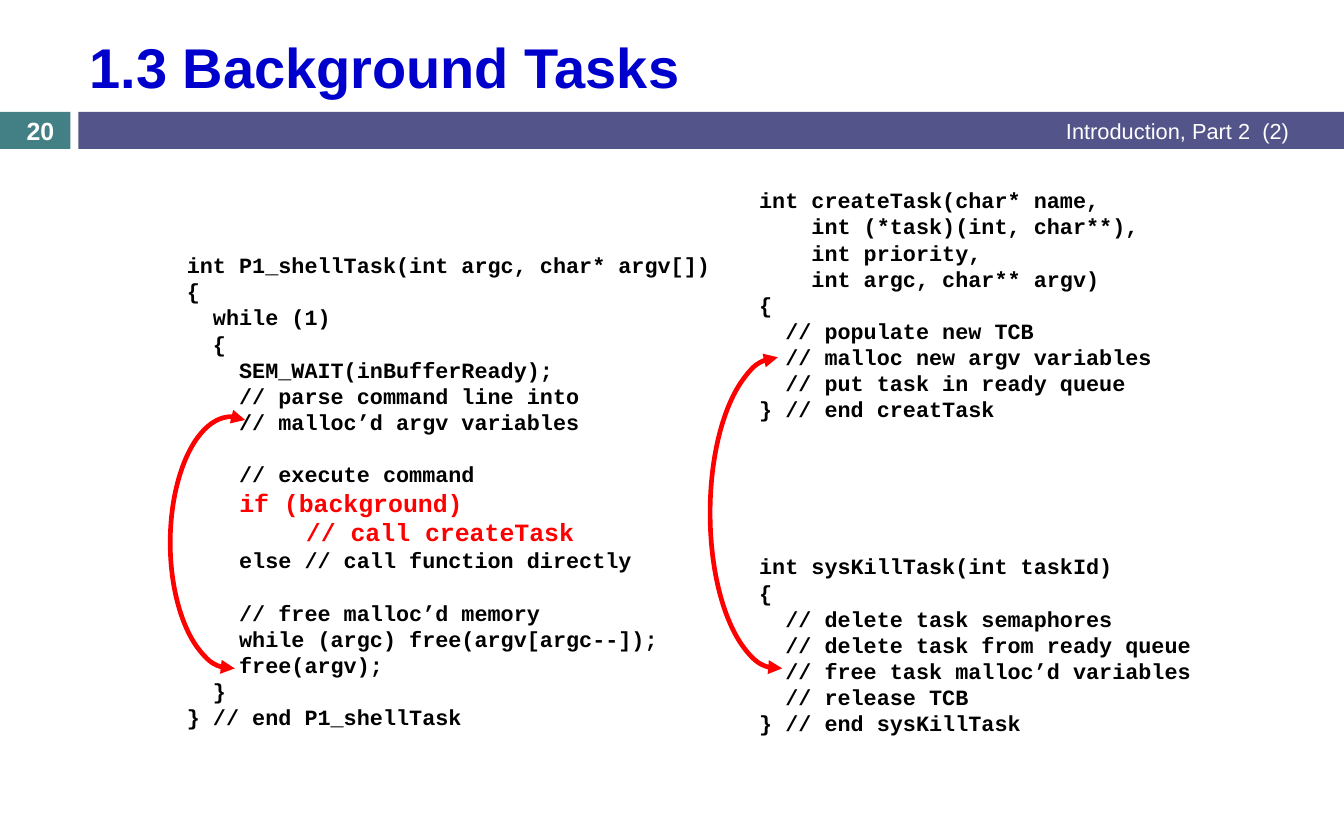
from lxml import etree
from pptx import Presentation
from pptx.dml.color import RGBColor
from pptx.enum.shapes import MSO_SHAPE
from pptx.enum.text import MSO_ANCHOR, PP_ALIGN
from pptx.oxml.ns import qn
from pptx.util import Inches, Pt

RECTANGLE, ARC = MSO_SHAPE.RECTANGLE, MSO_SHAPE.ARC
TOP, MIDDLE = MSO_ANCHOR.TOP, MSO_ANCHOR.MIDDLE
LEFT, CENTER, RIGHT = PP_ALIGN.LEFT, PP_ALIGN.CENTER, PP_ALIGN.RIGHT

COLORS = {"title": "0000CC", "teal": "438086", "band": "53548A",
          "white": "FFFFFF", "code": "000000", "accent": "FF0000"}
CODE_SIZE, ACCENT_SIZE = 14, 16
CODE_LINE = 16.8  # height of one code line in points

# A line that starts with a newline leaves one empty line above it
SHELL_CODE = """int P1_shellTask(int argc, char* argv[])
{
  while (1)
  {
    SEM_WAIT(inBufferReady);
    // parse command line into
    // malloc’d argv variables

    // execute command
    if (background)
        // call createTask
    else // call function directly

    // free malloc’d memory
    while (argc) free(argv[argc--]);
    free(argv);
  }
} // end P1_shellTask"""

CREATE_CODE = """int createTask(char* name,
    int (*task)(int, char**),
    int priority,
    int argc, char** argv)
{
  // populate new TCB
  // malloc new argv variables
  // put task in ready queue
} // end creatTask"""

KILL_CODE = """int sysKillTask(int taskId)
{
  // delete task semaphores
  // delete task from ready queue
  // free task malloc’d variables
  // release TCB
} // end sysKillTask"""

# Highlighted code, with the indent that keeps the normal size
HIGHLIGHTS = {"    if (background)": "    ", "        // call createTask": ""}


def color(name):
    return RGBColor.from_string(COLORS[name])


def add_run(paragraph, text, size=14, font="Arial", ink="code", bold=False):
    run = paragraph.add_run()
    run.text = text
    run.font.size = Pt(size)
    run.font.name = font
    run.font.bold = bold
    run.font.color.rgb = color(ink)


def add_frame(slide, box, anchor=TOP):
    frame = slide.shapes.add_textbox(*map(Inches, box)).text_frame
    frame.word_wrap = True
    frame.vertical_anchor = anchor
    return frame


def add_label(slide, box, text, align=LEFT, **style):
    paragraph = add_frame(slide, box, MIDDLE).paragraphs[0]
    paragraph.alignment = align
    add_run(paragraph, text, **style)


def add_bar(slide, box, fill):
    bar = slide.shapes.add_shape(RECTANGLE, *map(Inches, box))
    bar.shadow.inherit = False
    bar.fill.solid()
    bar.fill.fore_color.rgb = color(fill)
    bar.line.fill.background()


def add_header(slide, left, top, width, height):
    """Title above a band that holds the slide number and section."""
    number_width, band_left, band_top, band_height = 0.63, 0.7, 1, 0.33
    add_bar(slide, (left, top + band_top, number_width, band_height), "teal")
    add_bar(slide, (left + band_left, top + band_top,
                    width - band_left, band_height), "band")
    add_label(slide, (left + band_left, top + 0.19, 10.91, 0.8),
              "1.3 Background Tasks", size=36, ink="title", bold=True)
    add_label(slide, (left + 4.5, top + 0.99, 7.11, height - 0.99),
              "Introduction, Part 2  (2)", RIGHT, ink="white")
    add_label(slide, (left, top + 1.02, 0.72, 0.3), "20", CENTER,
              size=16, ink="white", bold=True)


def add_code(slide, box, code):
    """Code listing; an empty line becomes space before the next one."""
    frame = add_frame(slide, box)
    paragraph, gap = frame.paragraphs[0], 0
    for number, line in enumerate(code.split("\n")):
        if not line:
            gap = CODE_LINE
            continue
        if number:
            paragraph = frame.add_paragraph()
        if gap:
            paragraph.space_before = Pt(gap)
            gap = 0
        if line in HIGHLIGHTS:
            indent = HIGHLIGHTS[line]
            if indent:
                add_run(paragraph, indent, CODE_SIZE, "Courier New", bold=True)
            add_run(paragraph, line[len(indent):], ACCENT_SIZE, "Courier New",
                    "accent", True)
        else:
            add_run(paragraph, line, CODE_SIZE, "Courier New", bold=True)


def add_link_arc(slide, box, start):
    """Left-hand arc with an arrowhead at both ends."""
    arc = slide.shapes.add_shape(ARC, *map(Inches, box))
    arc.shadow.inherit = False
    arc.adjustments[0] = start
    arc.adjustments[1] = 54.97
    arc.element.spPr.xfrm.set("flipH", "1")
    arc.fill.background()
    arc.line.color.rgb = color("accent")
    arc.line.width = Pt(3)
    outline = arc.element.spPr.find(qn("a:ln"))
    for end in ("a:headEnd", "a:tailEnd"):
        etree.SubElement(outline, qn(end), type="triangle")


def main():
    presentation = Presentation()
    presentation.slide_width = Inches(12)
    presentation.slide_height = Inches(7.5)
    slide = presentation.slides.add_slide(presentation.slide_layouts[6])

    add_header(slide, 0, 0, 12, 1.34)

    # Code listings
    add_code(slide, (1.57, 2.2, 5.57, 4.41), SHELL_CODE)
    add_code(slide, (6.68, 1.62, 4.13, 2.22), CREATE_CODE)
    add_code(slide, (6.68, 4.89, 4.13, 1.75), KILL_CODE)

    # Arcs that pair each malloc with its free
    add_link_arc(slide, (1.52, 3.72, 1.09, 2.25), 158.12)
    add_link_arc(slide, (6.34, 3.19, 1.21, 2.78), 162)

    presentation.save("out.pptx")


if __name__ == "__main__":
    main()
